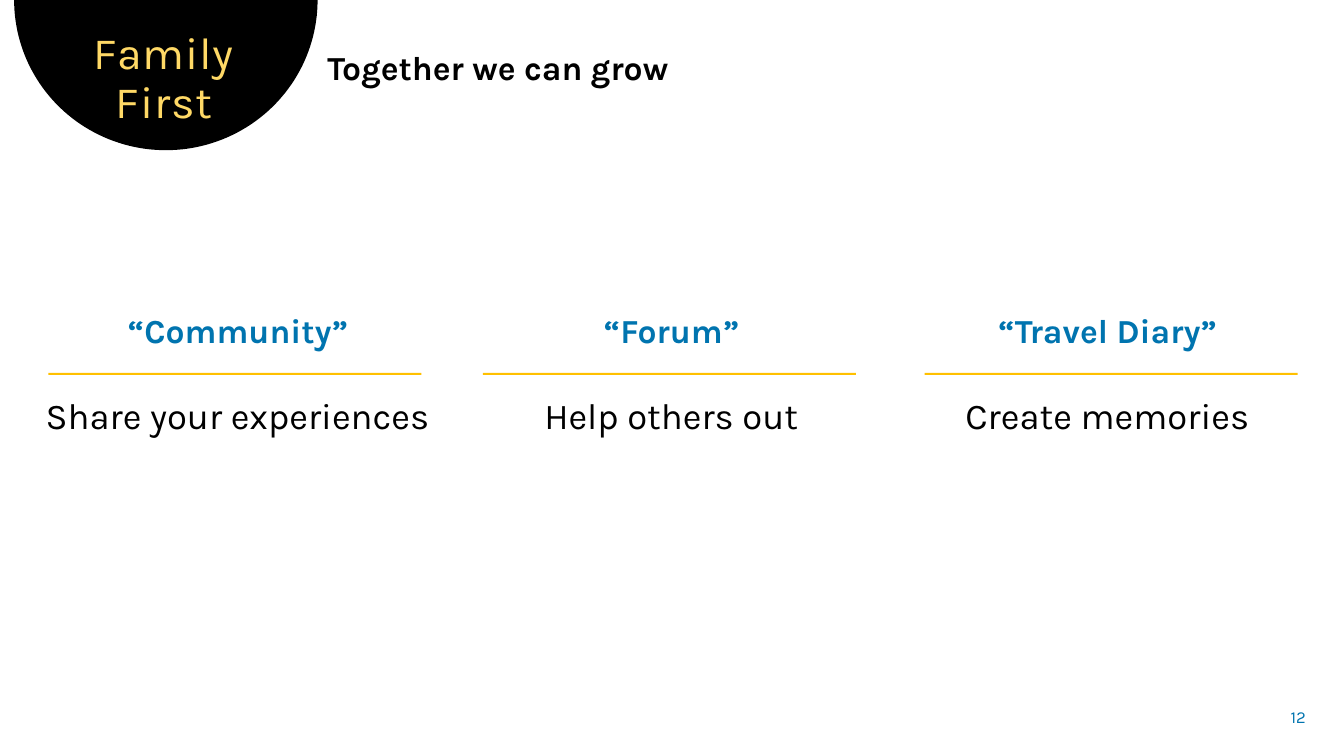
from dataclasses import dataclass
from math import cos, pi, sin

from pptx import Presentation
from pptx.dml.color import RGBColor
from pptx.enum.shapes import MSO_SHAPE
from pptx.enum.text import MSO_ANCHOR, PP_ALIGN
from pptx.util import Inches, Pt

RECT = MSO_SHAPE.RECTANGLE
TOP, MIDDLE = MSO_ANCHOR.TOP, MSO_ANCHOR.MIDDLE
LEFT, CENTER, RIGHT = PP_ALIGN.LEFT, PP_ALIGN.CENTER, PP_ALIGN.RIGHT
WIDE, HIGH = 13.33, 7.5


@dataclass(frozen=True)
class Theme:
    font: str = "Karla"
    black: str = "000000"
    blue: str = "0074AF"
    gold: str = "FFC000"
    pale: str = "FFD966"
    title: int = 32
    body: int = 26
    head: int = 24
    small: int = 12


THEME = Theme()


def paint(shape, color):
    shape.shadow.inherit = False
    shape.fill.solid()
    shape.fill.fore_color.rgb = RGBColor.from_string(color)
    shape.line.fill.background()


def add_frame(slide, box, anchor=TOP, pad=0.1):
    frame = slide.shapes.add_textbox(*map(Inches, box)).text_frame
    frame.word_wrap = True
    frame.vertical_anchor = anchor
    frame.margin_left = frame.margin_right = Inches(pad)
    return frame


def add_text(frame, text, size, color, bold=False, align=LEFT,
             lead=0.9, before=0, after=0, track=0):
    para = frame.paragraphs[0]
    if para.runs:
        para = frame.add_paragraph()
    para.alignment = align
    para.line_spacing = lead
    para.space_before, para.space_after = Pt(before), Pt(after)
    run = para.add_run()
    run.text = text
    run.font.name = THEME.font
    run.font.size = Pt(size)
    run.font.bold = bold
    run.font.color.rgb = RGBColor.from_string(color)
    if track:
        run._r.get_or_add_rPr().set("spc", str(round(track * 100)))


def add_badge(slide, box, text):
    left, top, width, height = box
    radius, steps = width / 2, 90
    arc = [(Inches(left + radius + radius * cos(pi * i / steps)),
            Inches(top + height * sin(pi * i / steps)))
           for i in range(steps + 1)]
    form = slide.shapes.build_freeform(*arc[0])
    form.add_line_segments(arc[1:], close=True)
    paint(form.convert_to_shape(), THEME.black)
    frame = add_frame(slide, (left + 0.19, top + 0.26, 2.6, 1.05), pad=0.3)
    add_text(frame, text, THEME.title, THEME.pale, align=CENTER, track=0.6)


def add_column(slide, box, rule, head, body):
    left, top, width, height = box
    frame = add_frame(slide, box)
    add_text(frame, head, THEME.head, THEME.blue, bold=True,
             align=CENTER, after=24)
    add_text(frame, body, THEME.body, THEME.black,
             align=CENTER, before=10, after=12)
    bar = slide.shapes.add_shape(
        RECT, Inches(rule), Inches(top + 0.63), Inches(3.7), Inches(0.02))
    paint(bar, THEME.gold)


def add_number(slide, box, text):
    frame = add_frame(slide, box, anchor=MIDDLE)
    add_text(frame, text, THEME.small, THEME.blue, align=RIGHT, lead=1)


def main():
    deck = Presentation()
    deck.slide_width, deck.slide_height = Inches(WIDE), Inches(HIGH)
    slide = deck.slides.add_slide(deck.slide_layouts[6])

    add_badge(slide, (0.14, 0, 3.01, 1.49), "Family First")
    intro = add_frame(slide, (3.15, 0.46, 9.93, 0.46))
    add_text(intro, "Together we can grow", THEME.head, THEME.black, bold=True)

    columns = [
        (0.33, 4.06, 0.48, "“Community”", "Share your experiences"),
        (4.56, 4.2, 4.79, "“Forum”", "Help others out"),
        (8.92, 4.13, 9.17, "“Travel Diary”", "Create memories"),
    ]
    for left, width, rule, head, body in columns:
        add_column(slide, (left, 3.07, width, 1.34), rule, head, body)

    add_number(slide, (12.5, 6.91, 0.55, 0.4), "12")
    deck.save("out.pptx")


if __name__ == "__main__":
    main()
